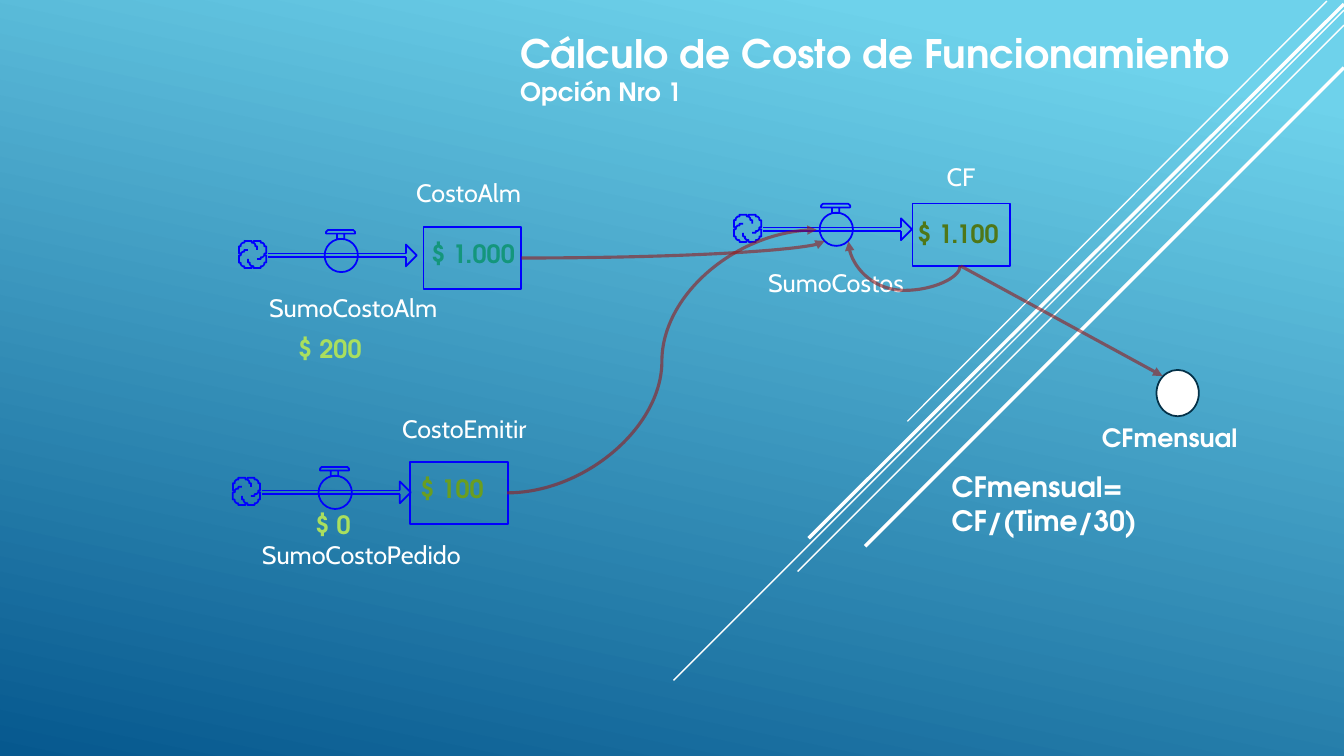
from lxml.etree import SubElement
from pptx import Presentation
from pptx.dml.color import RGBColor
from pptx.enum.shapes import MSO_CONNECTOR, MSO_SHAPE
from pptx.enum.text import MSO_AUTO_SIZE
from pptx.oxml.ns import qn
from pptx.util import Inches, Pt

WHITE = RGBColor(0xFF, 0xFF, 0xFF)
SKY = RGBColor(0x6E, 0xD2, 0xEB)
DEEP_BLUE = RGBColor(0x06, 0x58, 0x8E)
DIAGRAM_BLUE = RGBColor(0x00, 0x00, 0xFF)
NAVY = RGBColor(0x04, 0x31, 0x48)
DARK_RED = RGBColor(0x94, 0x1A, 0x1B)
LIME = RGBColor(0xAA, 0xDF, 0x5E)
OLIVE = RGBColor(0x4F, 0x77, 0x17)
LEAF = RGBColor(0x6A, 0x9E, 0x1F)
TEAL = RGBColor(0x14, 0x96, 0x7C)
NAME_FONT = "Cabin"
BOLD_FONT = "TeX Gyre Adventor"

GRID = 0.018
CLOUD_LOBES = [
    [(1, 8), (1, 7), (0, 7), (0, 3), (1, 3), (1, 2), (2, 1), (3, 1), (3, 0), (7, 0),
     (7, 1), (8, 1), (9, 2), (9, 3), (10, 3), (10, 5)],
    [(8, 1), (8, 0), (12, 0), (12, 1), (13, 1), (14, 2), (14, 3), (15, 3), (15, 7),
     (14, 7), (14, 8), (13, 9), (12, 9), (12, 10), (10, 10)],
    [(14, 8), (15, 8), (15, 12), (14, 12), (14, 13), (13, 14), (12, 14), (12, 15),
     (8, 15), (8, 14), (7, 14), (6, 13), (6, 12), (5, 12), (5, 10)],
    [(8, 14), (7, 14), (7, 15), (3, 15), (3, 14), (2, 14), (1, 13), (1, 12), (0, 12),
     (0, 8), (1, 8), (1, 7), (2, 6), (3, 6), (3, 5), (5, 5)],
]
PIPE_HEAD = [(92, 7), (92, 2), (98, 8), (92, 14), (92, 9)]
VALVE_HANDLE = [(58, -4), (58, -1), (54, -1), (54, -4), (48, -4), (48, -5), (48, -4),
                (64, -4), (64, -5), (63, -6), (49, -6), (48, -5)]


def add_text(shapes, left, top, width, lines, sizes=(18,), font=BOLD_FONT, color=WHITE,
             height=0.4, wrap=False):
    """Place a text box with one paragraph per line."""
    box = shapes.add_textbox(Inches(left), Inches(top), Inches(width), Inches(height))
    frame = box.text_frame
    frame.text = lines
    frame.word_wrap = wrap
    frame.auto_size = MSO_AUTO_SIZE.SHAPE_TO_FIT_TEXT
    for paragraph, size in zip(frame.paragraphs, sizes):
        for run in paragraph.runs:
            run.font.name = font
            run.font.size = Pt(size)
            run.font.bold = font == BOLD_FONT
            run.font.color.rgb = color


def add_line(shapes, start, end, color=DIAGRAM_BLUE, width=1.25, kind=MSO_CONNECTOR.STRAIGHT):
    """Draw a connector without shadow between two points."""
    line = shapes.add_connector(kind, *map(Inches, start + end))
    line.line.color.rgb = color
    line.line.width = Pt(width)
    SubElement(line._element.spPr, qn("a:effectLst"))
    return line


def outline(shape, color=DIAGRAM_BLUE):
    """Leave a shape unfilled with a thin line."""
    shape.shadow.inherit = False
    shape.fill.background()
    shape.line.color.rgb = color
    shape.line.width = Pt(1.25)
    return shape


def add_outline_path(shapes, left, top, points):
    """Draw an open path given in grid units from a corner."""
    path = shapes.build_freeform(*points[0], scale=Inches(GRID))
    path.add_line_segments(points[1:], close=False)
    outline(path.convert_to_shape(Inches(left), Inches(top)))


def add_flow(slide, left, top, name, name_dx, name_dy, name_width):
    """Draw a cloud, a pipe and a valve with the name below."""
    shapes = slide.shapes.add_group_shape().shapes
    for points in CLOUD_LOBES + [PIPE_HEAD, VALVE_HANDLE]:
        add_outline_path(shapes, left, top, points)
    for row in (7, 9):
        y = top + row * GRID
        add_line(shapes, (left + 0.29, y), (left + 1.66, y))
    outline(shapes.add_shape(MSO_SHAPE.OVAL, Inches(left + 0.85), Inches(top - 0.02),
                             Inches(0.33), Inches(0.33)))
    add_text(shapes, left + name_dx, top + name_dy, name_width, name, font=NAME_FONT)


def add_stock(slide, left, top, name, name_dx, name_dy, name_width):
    """Draw a stock box with the name above."""
    shapes = slide.shapes.add_group_shape().shapes
    outline(shapes.add_shape(MSO_SHAPE.RECTANGLE, Inches(left), Inches(top),
                             Inches(0.97), Inches(0.62)))
    add_text(shapes, left + name_dx, top + name_dy, name_width, name, font=NAME_FONT)


def add_influence(slide, start, end, preset=None, bend=None, turn=0):
    """Draw a translucent red arrow, curved when a preset is given."""
    kind = MSO_CONNECTOR.CURVE if preset else MSO_CONNECTOR.STRAIGHT
    arrow = add_line(slide.shapes, start, end, DARK_RED, 2.25, kind)
    properties = arrow._element.spPr
    tint = next(properties.iter(qn("a:srgbClr")))
    SubElement(tint, qn("a:alpha"), val="60000")
    SubElement(properties.find(qn("a:ln")), qn("a:tailEnd"), type="triangle")
    geometry = properties.find(qn("a:prstGeom"))
    if preset:
        geometry.set("prst", preset)
    if bend is not None:
        SubElement(geometry.find(qn("a:avLst")), qn("a:gd"), name="adj1", fmla=f"val {bend}")
    if turn:
        properties.find(qn("a:xfrm")).set("rot", str(turn * 60000))


def add_backdrop(slide):
    """Paint the gradient and the diagonal rays."""
    fill = slide.background.fill
    fill.gradient()
    fill.gradient_angle = 258
    for stop, position, color in zip(fill.gradient_stops, (0.1, 1), (SKY, DEEP_BLUE)):
        stop.position = position
        stop.color.rgb = color
    for start, end, width in [
        ((13.16, 0.01), (9, 4.18), 1),
        ((13.33, 0.1), (6.68, 6.75), 1),
        ((13.33, 0.25), (7.91, 5.67), 1),
        ((13.33, 0.04), (8.02, 5.34), 2.5),
        ((13.33, 0.67), (8.58, 5.42), 2.5),
    ]:
        add_line(slide.shapes, start, end, WHITE, width)


def add_monthly_cost(slide, left, top):
    """Draw the monthly cost converter with its name and formula."""
    converter = outline(slide.shapes.add_shape(
        MSO_SHAPE.OVAL, Inches(left), Inches(top), Inches(0.42), Inches(0.46)), NAVY)
    converter.fill.solid()
    converter.fill.fore_color.rgb = WHITE
    add_text(slide.shapes, left - 0.64, top + 0.47, 1.56, "CFmensual")
    add_text(slide.shapes, left - 2.13, top + 0.94, 2.15, "CFmensual= CF/(Time/30)",
             sizes=(20,), height=0.77, wrap=True)


def add_model(slide):
    """Place the flows, stocks, amounts and influences."""
    add_flow(slide, 2.37, 2.39, "SumoCostoAlm", 0.2, 0.46, 1.95)
    add_stock(slide, 4.2, 2.25, "CostoAlm", -0.17, -0.54, 1.32)
    add_flow(slide, 7.28, 2.13, "SumoCostos", 0.24, 0.47, 1.64)
    add_stock(slide, 9.05, 2.02, "CF", 0.24, -0.47, 0.6)
    add_flow(slide, 2.31, 4.74, "SumoCostoPedido", 0.19, 0.56, 2.27)
    add_stock(slide, 4.07, 4.58, "CostoEmitir", -0.18, -0.53, 1.55)
    for left, top, width, amount, color in [
        (9, 2.12, 1.05, "$ 1.100", OLIVE),
        (4.18, 2.32, 1.05, "$ 1.000", TEAL),
        (2.86, 3.26, 0.83, "$ 200", LIME),
        (4.07, 4.65, 0.84, "$ 100", LEAF),
        (3.03, 5, 0.56, "$ 0", LIME),
    ]:
        add_text(slide.shapes, left, top, width, amount, color=color)
    add_influence(slide, (5.17, 2.56), (8.18, 2.39), "curvedConnector2")
    add_influence(slide, (5.03, 4.89), (8.1, 2.28), "curvedConnector3", 50000)
    add_influence(slide, (9.09, 1.96), (8.85, 3.07), "curvedConnector3", -102400, 90)
    add_monthly_cost(slide, 11.47, 3.67)
    add_influence(slide, (9.53, 2.64), (11.53, 3.73))


def main():
    """Build the slide and save it."""
    presentation = Presentation()
    presentation.slide_width = Inches(13.33)
    presentation.slide_height = Inches(7.5)
    slide = presentation.slides.add_slide(presentation.slide_layouts[6])
    add_backdrop(slide)
    add_model(slide)
    add_text(slide.shapes, 5.06, 0.24, 7.32,
             "Cálculo de Costo de Funcionamiento\nOpción Nro 1", sizes=(28, 18), height=0.88)
    presentation.save("out.pptx")


if __name__ == "__main__":
    main()
